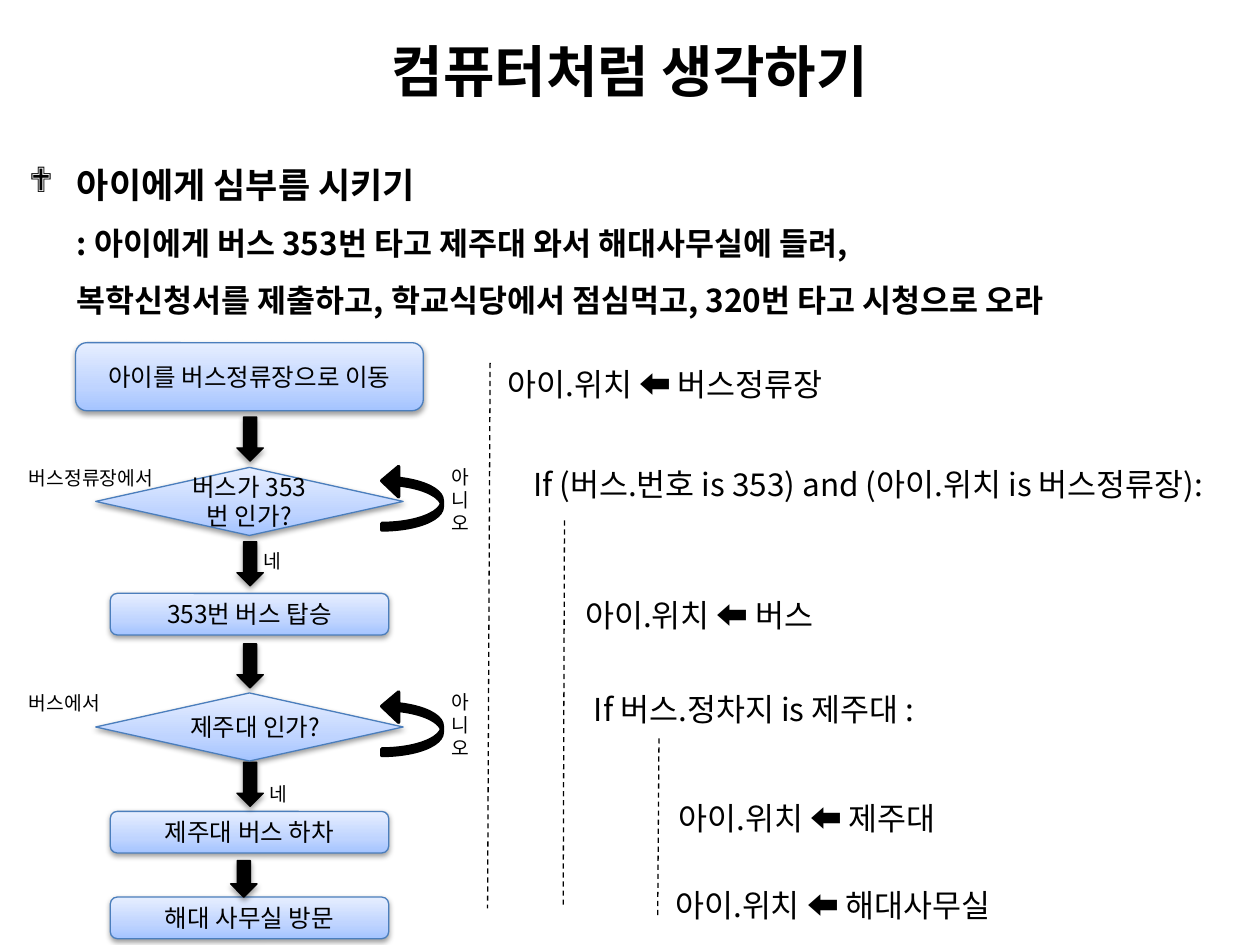
from copy import deepcopy
from dataclasses import dataclass

from lxml.etree import SubElement as Sub
from pptx import Presentation
from pptx.dml.color import RGBColor as Rgb
from pptx.enum.dml import MSO_LINE as Dash
from pptx.enum.shapes import MSO_CONNECTOR as Link, MSO_SHAPE as Kind
from pptx.enum.text import MSO_ANCHOR as Anchor, MSO_AUTO_SIZE as Fit, PP_ALIGN as Align
from pptx.oxml.ns import qn
from pptx.util import Inches, Pt

COLS, ROWS = 100, 75
WIDE, HIGH = Inches(10), Inches(7.5)
MID = 19.8  # column on which the flow chart is centred


@dataclass(frozen=True)
class Theme:
    ink: str = "000000"
    edge: str = "4B7EBC"
    fade: tuple = ((0, "A4C4FF"), (0.35, "BFD4FF"), (1, "E6EEFF"))
    font: str = "Noto Sans CJK KR"
    head_font: str = "Arial"
    head: int = 32
    lead: int = 20
    body: int = 18
    step: int = 14
    note: int = 11
    thin: float = 0.75
    bold: float = 2


T = Theme()


def spot(left, top, wide, high):
    """Turn grid columns and rows into slide lengths."""
    return (int(left * WIDE / COLS), int(top * HIGH / ROWS),
            int(wide * WIDE / COLS), int(high * HIGH / ROWS))


def move(shape, *cell):
    shape.left, shape.top, shape.width, shape.height = spot(*cell)


def style(run, size, bold=False, face=T.font):
    font = run.font
    font.size, font.bold, font.name = Pt(size), bold, face
    font.color.rgb = Rgb.from_string(T.ink)
    Sub(run._r.rPr, qn("a:ea"), typeface=T.font)


def write(shape, text, size, align=Align.CENTER):
    frame = shape.text_frame
    frame.text = text
    frame.word_wrap = True
    for para in frame.paragraphs:
        para.alignment = align
        for run in para.runs:
            style(run, size)


def shade(shape):
    """Give the shape a soft shadow straight below it."""
    shape.shadow.inherit = False
    glow = Sub(shape._element.spPr.find(qn("a:effectLst")), qn("a:outerShdw"),
               blurRad="40000", dist="20000", dir="5400000", rotWithShape="0")
    tint = Sub(glow, qn("a:srgbClr"), val=T.ink)
    Sub(tint, qn("a:alpha"), val="38000")


def blend(fill):
    """Fill with the theme's three-stop fade, dark at the bottom."""
    fill.gradient()
    fill.gradient_angle = 90
    last = fill.gradient_stops[1]._gs
    last.addnext(deepcopy(last))
    for stop, (place, tone) in zip(fill.gradient_stops, T.fade):
        stop.position = place
        stop.color.rgb = Rgb.from_string(tone)


def draw(slide, kind, cell, line=T.thin):
    """Add a solid black shape."""
    shape = slide.shapes.add_shape(kind, *spot(*cell))
    shape.shadow.inherit = False
    shape.fill.solid()
    shape.fill.fore_color.rgb = shape.line.color.rgb = Rgb.from_string(T.ink)
    shape.line.width = Pt(line)
    return shape


def step(slide, text, top, wide=22.1, high=3.3, kind=Kind.ROUNDED_RECTANGLE):
    shape = draw(slide, kind, (MID - wide / 2, top, wide, high))
    blend(shape.fill)
    shape.line.color.rgb = Rgb.from_string(T.edge)
    shade(shape)
    write(shape, text, T.step)
    shape.text_frame.vertical_anchor = Anchor.MIDDLE


def drop(slide, top, left=18.8, high=3.5):
    shade(draw(slide, Kind.DOWN_ARROW, (left, top, 2.1, high)))


def label(slide, text, cell, size=T.note, align=Align.LEFT):
    write(slide.shapes.add_textbox(*spot(*cell)), text, size, align)


def test(slide, text, place, top, yes):
    """Add a decision with its place, its yes label and its no loop."""
    step(slide, text, top, 24.4, 5.4, Kind.DIAMOND)
    label(slide, place, (1.3, top - 0.6, 12.8, 2.9))
    label(slide, "네", (*yes, 3.6, 2.9))
    loop = draw(slide, Kind.CURVED_UP_ARROW, (30.15, top, 5.1, 4.8), T.bold)
    loop.rotation = 270
    for i, value in enumerate((0.106, 0.5, 0.279)):
        loop.adjustments[i] = value
    label(slide, "아\n니\n오", (34.85, top - 0.7, 3.6, 6.6))


def guide(slide, left, top, right, foot):
    x, y, dx, dy = spot(left, top, right - left, foot - top)
    line = slide.shapes.add_connector(Link.STRAIGHT, x, y, x + dx, y + dy)
    line.line.color.rgb = Rgb.from_string(T.ink)
    line.line.width = Pt(T.thin)
    line.line.dash_style = Dash.DASH
    Sub(line._element.spPr, qn("a:effectLst"))


def title(slide, text):
    shape = slide.shapes.title
    move(shape, 5, 1.7, 90, 7.7)
    shape.text_frame.text = text
    shape.text_frame.vertical_anchor = Anchor.MIDDLE
    style(shape.text_frame.paragraphs[0].runs[0], T.head, True, T.head_font)


def intro(slide, lines):
    """Fill the body with one bullet whose first line is larger."""
    shape = slide.placeholders[1]
    move(shape, 1.3, 10.8, 97.5, 15)
    shape.text_frame.auto_size = Fit.NONE
    para = shape.text_frame.paragraphs[0]
    para.text = "\v".join(lines)
    props = para._p.get_or_add_pPr()
    props.set("marL", str(Inches(0.38)))
    props.set("indent", str(-Inches(0.38)))
    Sub(props, qn("a:buFont"), typeface="Wingdings")
    Sub(props, qn("a:buChar"), char="❖")
    para.line_spacing, para.space_before = 1.5, Pt(0)
    for i, run in enumerate(para.runs):
        style(run, T.body if i else T.lead, True)
    for gap, run in zip(para._p.findall(qn("a:br")), para.runs):
        gap.append(deepcopy(run._r.rPr))


def main():
    deck = Presentation()
    deck.slide_width, deck.slide_height = WIDE, HIGH
    slide = deck.slides.add_slide(deck.slide_layouts[1])
    title(slide, "컴퓨터처럼 생각하기")
    intro(slide, ("아이에게 심부름 시키기 ",
                  ": 아이에게 버스 353번 타고 제주대 와서 해대사무실에 들려, ",
                  "복학신청서를 제출하고, 학교식당에서 점심먹고, 320번 타고 시청으로 오라"))

    step(slide, "아이를 버스정류장으로 이동", 27.2, 27.6, 5.4)
    for text, top in (("353번 버스 탑승", 47.1), ("제주대 버스 하차", 64.4),
                      ("해대 사무실 방문", 71.2)):
        step(slide, text, top)
    for top in (33.1, 43, 51.1, 60.5):
        drop(slide, top)
    drop(slide, 68.3, 18.3, 2.9)
    test(slide, "버스가 353번 인가?", "버스정류장에서", 37.1, (19.9, 43.1))
    test(slide, "제주대 인가?", "버스에서", 55, (20.4, 61.6))

    for ends in ((38.9, 28.8, 38.7, 72.1), (44.8, 41.3, 44.7, 72.1),
                 (52.3, 58.6, 52.2, 72.9)):
        guide(slide, *ends)
    for text, left, top, wide in (
            ("아이.위치 ⬅ 버스정류장", 38, 28.5, 29.6),
            ("If (버스.번호 is 353) and (아이.위치 is 버스정류장):", 39.3, 36.4, 59.2),
            ("아이.위치 ⬅ 버스", 44.4, 46.8, 22.2),
            ("If 버스.정차지 is 제주대 :", 44.8, 54.3, 30.1),
            ("아이.위치 ⬅ 제주대", 51.7, 62.9, 24.7),
            ("아이.위치 ⬅ 해대사무실", 51.2, 69.8, 29.8)):
        label(slide, text, (left, top, wide, 4), T.body, Align.CENTER)
    deck.save("out.pptx")


if __name__ == "__main__":
    main()
